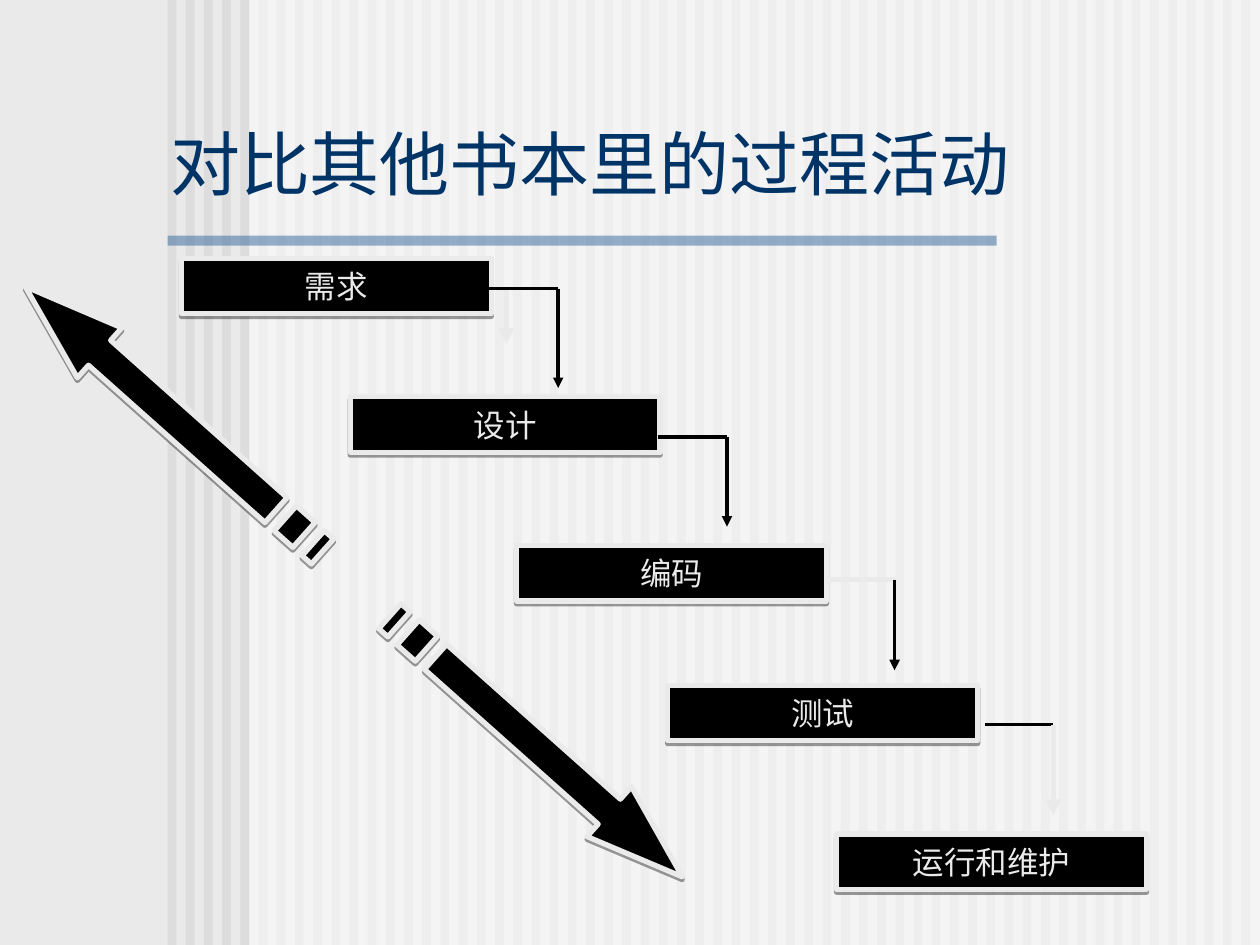
import lxml.etree
import pptx
import pptx.dml.color
import pptx.enum.shapes
import pptx.enum.text
import pptx.oxml.ns
import pptx.util

Inches, Pt, qn = pptx.util.Inches, pptx.util.Pt, pptx.oxml.ns.qn
RECT = pptx.enum.shapes.MSO_SHAPE.RECTANGLE
COLORS = {"light": "EAEAEA", "stripe": "DDDDDD", "white": "FFFFFF",
          "rule": "336699", "title": "003366", "black": "000000"}

TITLE = "对比其他书本里的过程活动"
STEPS = [("需求", 1.44, 2.05), ("设计", 2.78, 3.15), ("编码", 4.10, 4.33),
         ("测试", 5.30, 5.44), ("运行和维护", 6.64, 6.62)]
BOX_W, BOX_H = 2.46, 0.44
# from, to, colour, arrowhead
SHORT_ARROW = ((4.02, 2.29), (4.02, 2.73), "light", True)
LINKS = [
    ((3.88, 2.29), (4.43, 2.29), "black", False),
    ((4.43, 2.29), (4.43, 3.08), "black", True),
    ((5.22, 3.47), (5.77, 3.47), "black", False),
    ((5.77, 3.47), (5.77, 4.18), "black", True),
    ((6.56, 4.60), (7.10, 4.60), "light", False),
    ((7.10, 4.60), (7.10, 5.32), "black", True),
    ((7.82, 5.75), (8.36, 5.75), "black", False),
    ((8.36, 5.75), (8.36, 6.47), "light", True),
]
# left, top, width, height, rotation
ARROWS = [(2.70, 5.66, 3.11, 0.53, 41.7), (-0.20, 3.06, 3.16, 0.53, 221.7)]
STRIPES, STRIPE_FIRST, STRIPE_LAST, STRIPE_W = 60, 1.33, 9.85, 0.07


def rgb(name):
    return pptx.dml.color.RGBColor.from_string(COLORS[name])


def child(parent, tag, **attrs):
    return lxml.etree.SubElement(parent, qn(tag), attrs)


def add_band(s, left, top, width, height, color, alpha=None):
    sp = s.shapes.add_shape(RECT, *map(Inches, (left, top, width, height)))
    sp.shadow.inherit = False
    sp.fill.solid()
    sp.fill.fore_color.rgb = rgb(color)
    sp.line.fill.background()
    if alpha:
        clr = sp.element.spPr.find(qn("a:solidFill"))[0]
        child(clr, "a:alpha", val=str(alpha * 1000))


def style_block(sp):
    """Black fill, thick light outline and a faint shadow straight below."""
    sp.fill.solid()
    sp.fill.fore_color.rgb = rgb("black")
    sp.line.color.rgb = rgb("light")
    sp.line.width = Pt(3)
    sp.shadow.inherit = False
    effects = sp.element.spPr.find(qn("a:effectLst"))
    shadow = child(effects, "a:outerShdw", blurRad="0", dist=str(Pt(1.6)),
                   dir="5400000", algn="ctr", rotWithShape="0")
    clr = child(shadow, "a:srgbClr", val=COLORS["black"])
    child(clr, "a:alpha", val="38000")


def add_step(s, text, left, top):
    sp = s.shapes.add_shape(RECT, *map(Inches, (left, top, BOX_W, BOX_H)))
    style_block(sp)
    tf = sp.text_frame
    tf.word_wrap = True
    tf.vertical_anchor = pptx.enum.text.MSO_ANCHOR.MIDDLE
    p = tf.paragraphs[0]
    p.alignment = pptx.enum.text.PP_ALIGN.CENTER
    add_run(p, text, 18, "Times New Roman", "light")


def add_run(p, text, size, font, color):
    r = p.add_run()
    r.text = text
    r.font.size = Pt(size)
    r.font.name = font
    r.font.color.rgb = rgb(color)


def add_link(s, start, end, color, arrow):
    line = s.shapes.add_connector(pptx.enum.shapes.MSO_CONNECTOR.STRAIGHT,
                                  *map(Inches, start + end))
    line.line.color.rgb = rgb(color)
    line.line.width = Pt(3 if color == "light" else 2)
    if arrow:
        child(line.line._get_or_add_ln(), "a:tailEnd", type="triangle")
    child(line.element.spPr, "a:effectLst")


def add_striped_arrow(s, left, top, w, h, rotation):
    """Arrow with two tail stripes, all lengths being fractions of its width."""
    def bar(x0, x1):
        return [(x0, .25), (x1, .25), (x1, .75), (x0, .75)]

    head, tail = 3 / 4, 5 / 32
    body = [(head, 0), (head, .25), (tail, .25), (tail, .75),
            (head, .75), (head, 1), (1, .5)]
    contours = [[(Inches(left + x * w), Inches(top + y * h)) for x, y in c]
                for c in (body, bar(1 / 16, 1 / 8), bar(0, 1 / 32))]
    builder = s.shapes.build_freeform(*contours[0][0])
    for i, points in enumerate(contours):
        if i:
            builder.move_to(*points[0])
        builder.add_line_segments(points[1:], close=True)
    sp = builder.convert_to_shape()
    sp.rotation = rotation
    style_block(sp)


def add_title(s):
    title = s.shapes.title
    title.element.getparent().append(title.element)  # in front of the bands
    title.left, title.top, title.width, title.height = map(
        Inches, (1.25, 0.98, 7.03, 0.69))
    tf = title.text_frame
    tf.word_wrap = True
    tf.auto_size = pptx.enum.text.MSO_AUTO_SIZE.NONE
    tf.vertical_anchor = pptx.enum.text.MSO_ANCHOR.BOTTOM
    p = tf.paragraphs[0]
    p.alignment = pptx.enum.text.PP_ALIGN.LEFT
    add_run(p, TITLE, 40, "Arial", "title")


def main():
    prs = pptx.Presentation()
    prs.slide_width, prs.slide_height = Inches(10), Inches(7.5)
    s = prs.slides.add_slide(prs.slide_layouts[5])
    s.background.fill.solid()
    s.background.fill.fore_color.rgb = rgb("light")

    pitch = (STRIPE_LAST - STRIPE_FIRST) / (STRIPES - 1)
    for i in range(STRIPES):
        add_band(s, STRIPE_FIRST + i * pitch, 0, STRIPE_W, 7.5, "stripe")
    add_band(s, 1.98, 0, 8.02, 7.5, "white", 50)
    add_band(s, 1.33, 1.87, 6.58, 0.08, "rule", 50)
    add_title(s)

    add_link(s, *SHORT_ARROW)
    for step in STEPS:
        add_step(s, *step)
    for link in LINKS:
        add_link(s, *link)
    for arrow in ARROWS:
        add_striped_arrow(s, *arrow)
    prs.save("out.pptx")


if __name__ == "__main__":
    main()
